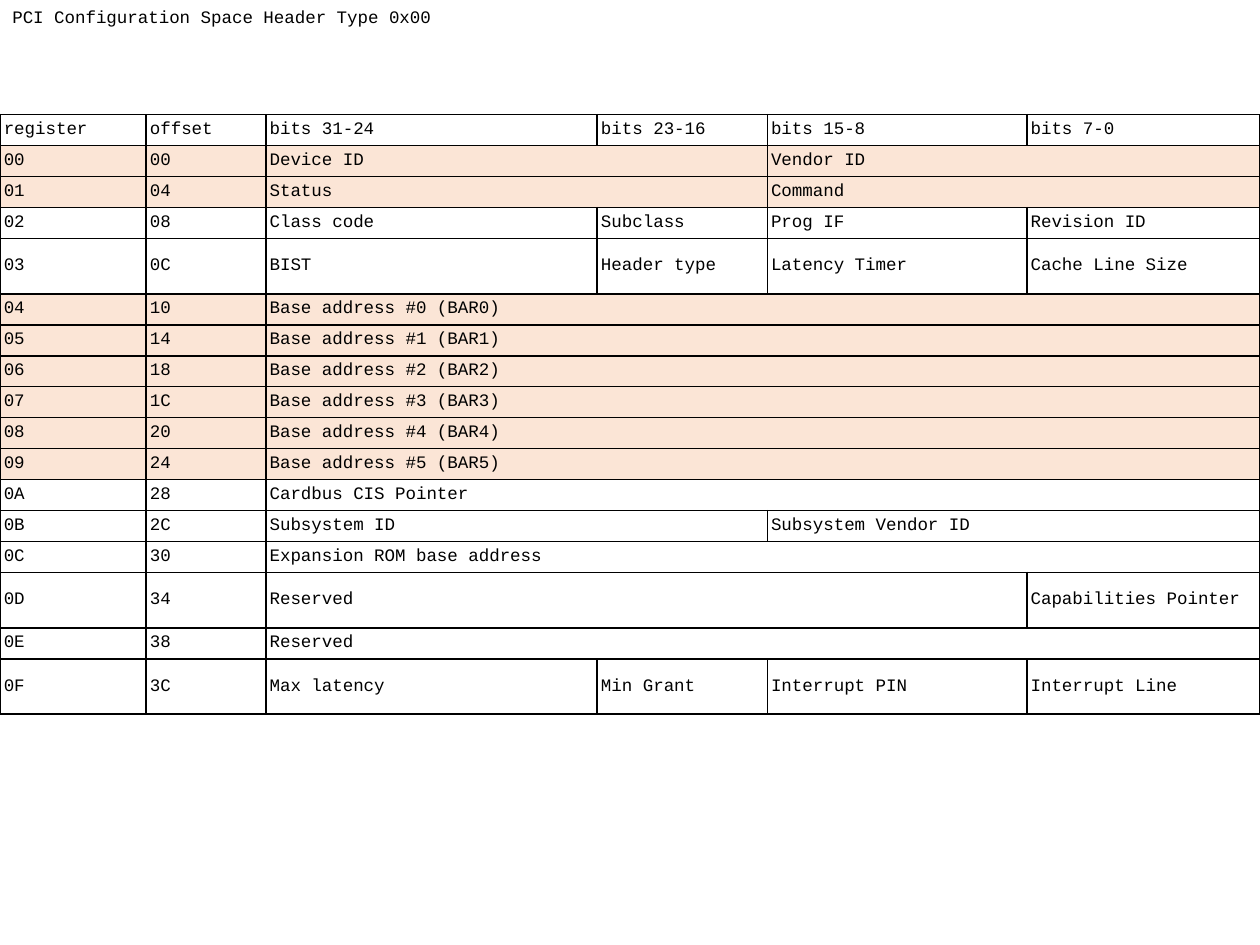
from lxml.etree import SubElement
from pptx import Presentation
from pptx.dml.color import RGBColor
from pptx.enum.text import MSO_ANCHOR, MSO_AUTO_SIZE
from pptx.oxml.ns import qn
from pptx.util import Inches, Pt

COLORS = {"ink": "000000", "highlight": "FBE5D6"}
FONT = "Courier New"
COLUMN_WIDTHS = [1.16, 0.95, 2.63, 1.35, 2.06, 1.85]
TABLE_HEIGHT = 4.76
TALL_ROW = 0.44
TALL_REGISTERS = {0x03, 0x0D, 0x0F}
HIGHLIGHTED_REGISTERS = {0, 1, *range(4, 10)}
HEADINGS = ["register", "offset", "bits 31-24", "bits 23-16", "bits 15-8", "bits 7-0"]
REGISTERS = [
    [("Device ID", 2), ("Vendor ID", 2)],
    [("Status", 2), ("Command", 2)],
    [("Class code", 1), ("Subclass", 1), ("Prog IF", 1), ("Revision ID", 1)],
    [("BIST", 1), ("Header type", 1), ("Latency Timer", 1), ("Cache Line Size", 1)],
    *[[(f"Base address #{bar} (BAR{bar})", 4)] for bar in range(6)],
    [("Cardbus CIS Pointer", 4)],
    [("Subsystem ID", 2), ("Subsystem Vendor ID", 2)],
    [("Expansion ROM base address", 4)],
    [("Reserved", 3), ("Capabilities Pointer", 1)],
    [("Reserved", 4)],
    [("Max latency", 1), ("Min Grant", 1), ("Interrupt PIN", 1), ("Interrupt Line", 1)],
]


def style_paragraph(paragraph):
    """Give a paragraph the common typeface, size and colour."""
    paragraph.font.name = FONT
    paragraph.font.size = Pt(10)
    paragraph.font.color.rgb = RGBColor.from_string(COLORS["ink"])


def add_borders(cell):
    """Draw a thin line on each side of a cell."""
    properties = cell._tc.get_or_add_tcPr()
    for side in ("a:lnL", "a:lnR", "a:lnT", "a:lnB"):
        line = SubElement(properties, qn(side), w=str(Pt(1)))
        fill = SubElement(line, qn("a:solidFill"))
        SubElement(fill, qn("a:srgbClr"), val=COLORS["ink"])


def style_cell(cell, highlighted):
    """Set the margins, borders, fill and font of a cell."""
    cell.margin_left = cell.margin_right = Inches(0.03)
    cell.margin_top = cell.margin_bottom = Inches(0.03)
    cell.vertical_anchor = MSO_ANCHOR.MIDDLE
    add_borders(cell)
    if highlighted:
        cell.fill.solid()
        cell.fill.fore_color.rgb = RGBColor.from_string(COLORS["highlight"])
    else:
        cell.fill.background()
    style_paragraph(cell.text_frame.paragraphs[0])


def fill_row(table, row, fields, highlighted=False):
    """Write (text, span) fields from left to right, merging where they span."""
    column = 0
    for text, span in fields:
        cell = table.cell(row, column)
        cell.text = text
        if span > 1:
            cell.merge(table.cell(row, column + span - 1))
        column += span
    for cell in table.rows[row].cells:
        style_cell(cell, highlighted)


def add_register_table(slide):
    """Add the table of registers, their offsets and their bit fields."""
    row_count = len(REGISTERS) + 1
    table = slide.shapes.add_table(
        row_count, len(HEADINGS), 0, Inches(0.91), Inches(10), Inches(TABLE_HEIGHT)
    ).table
    table.first_row = table.horz_banding = False
    for column, width in zip(table.columns, COLUMN_WIDTHS):
        column.width = Inches(width)

    tall_count = len(TALL_REGISTERS)
    short_row = (TABLE_HEIGHT - tall_count * TALL_ROW) / (row_count - tall_count)
    for register, row in enumerate(table.rows, start=-1):
        row.height = Inches(TALL_ROW if register in TALL_REGISTERS else short_row)

    fill_row(table, 0, [(heading, 1) for heading in HEADINGS])
    for register, bit_fields in enumerate(REGISTERS):
        labels = [(f"{register:02X}", 1), (f"{register * 4:02X}", 1)]
        fill_row(table, register + 1, labels + bit_fields, register in HIGHLIGHTED_REGISTERS)


def add_title(slide, text):
    """Add the title in the top left corner."""
    frame = slide.shapes.add_textbox(0, 0, Inches(3.57), Inches(0.27)).text_frame
    frame.word_wrap = False
    frame.auto_size = MSO_AUTO_SIZE.SHAPE_TO_FIT_TEXT
    frame.text = text
    style_paragraph(frame.paragraphs[0])


def main():
    """Build the slide and save it."""
    deck = Presentation()
    deck.slide_width, deck.slide_height = Inches(10), Inches(7.5)
    slide = deck.slides.add_slide(deck.slide_layouts[6])
    add_register_table(slide)
    add_title(slide, "PCI Configuration Space Header Type 0x00")
    deck.save("out.pptx")


if __name__ == "__main__":
    main()
